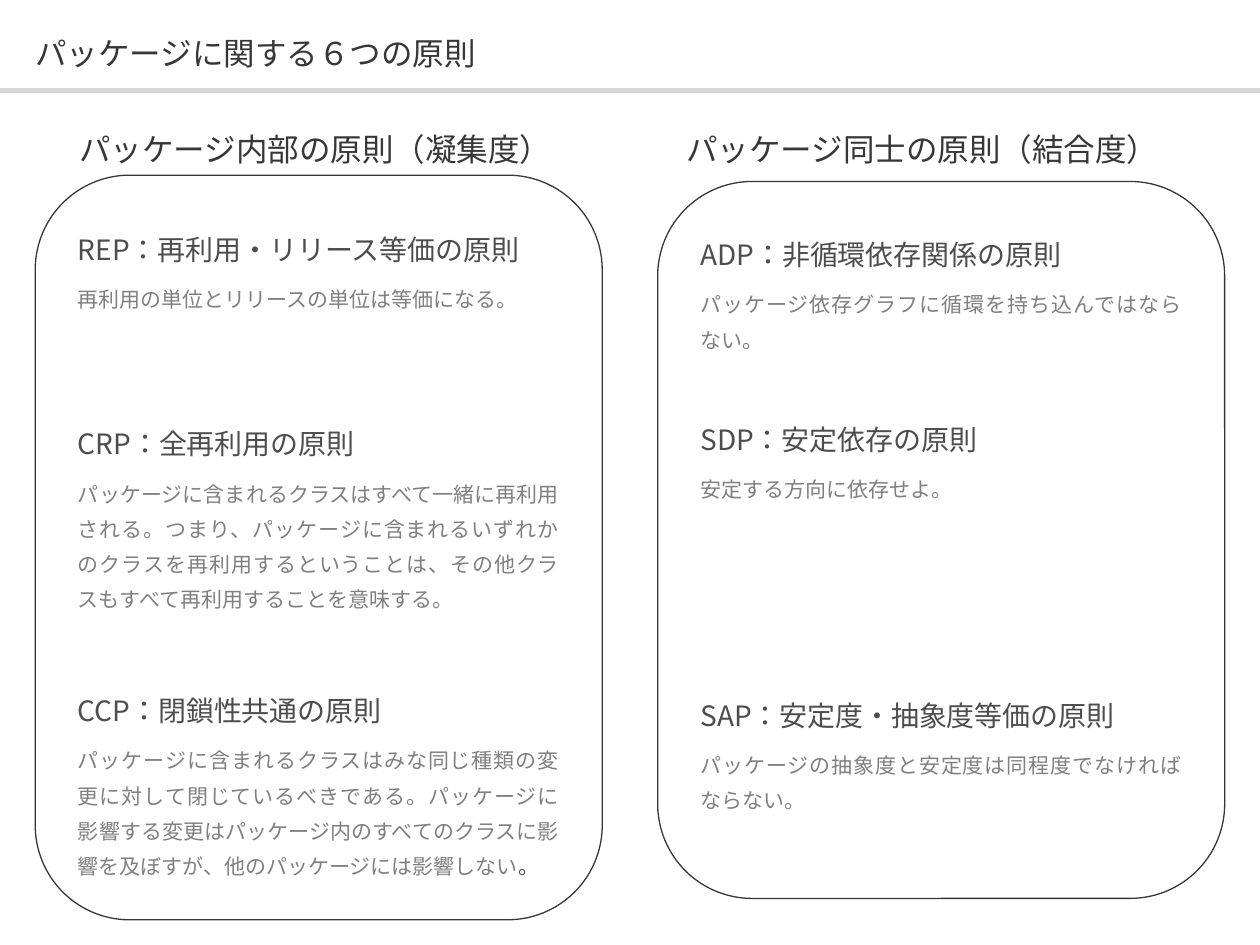
from typing import NamedTuple

from lxml.etree import SubElement
from pptx import Presentation
from pptx.dml.color import RGBColor
from pptx.enum.lang import MSO_LANGUAGE_ID
from pptx.enum.shapes import MSO_SHAPE
from pptx.enum.text import MSO_ANCHOR, MSO_AUTO_SIZE, PP_ALIGN
from pptx.oxml.ns import qn
from pptx.util import Inches, Pt

FONT = "Noto Sans CJK JP"
COLORS = {
    "dark": "373737",
    "heading": "4D4D4D",
    "body": "7F7F7F",
    "rule": "D8D8D8",
    "panel": "FFFFFF",
}
PANEL_WIDTH = 4.5


class Box(NamedTuple):
    left: float
    top: float
    width: float
    height: float

    def emu(self) -> list:
        return [Inches(v) for v in self]


class Principle(NamedTuple):
    heading: str
    body: str
    gap: float = 0  # points above the heading
    ending: str = ""  # closing mark in the heading colour


class Panel(NamedTuple):
    label: str
    label_box: Box
    box: Box
    bottom_inset: float
    principles: list


PANELS = [
    Panel(
        "パッケージ内部の原則（凝集度）",
        Box(0.53, 0.98, 3.99, 0.4),
        Box(0.28, 1.39, PANEL_WIDTH, 5.91),
        0.1,
        [
            Principle("REP：再利用・リリース等価の原則",
                      "再利用の単位とリリースの単位は等価になる。"),
            Principle("CRP：全再利用の原則",
                      "パッケージに含まれるクラスはすべて一緒に再利用される。"
                      "つまり、パッケージに含まれるいずれかのクラスを再利用すると"
                      "いうことは、その他クラスもすべて再利用することを意味する。",
                      58.4),
            Principle("CCP：閉鎖性共通の原則",
                      "パッケージに含まれるクラスはみな同じ種類の変更に対して"
                      "閉じているべきである。パッケージに影響する変更はパッケージ内の"
                      "すべてのクラスに影響を及ぼすが、他のパッケージには影響しない",
                      38.9, "。"),
        ],
    ),
    Panel(
        "パッケージ同士の原則（結合度）",
        Box(5.35, 0.98, 4.24, 0.4),
        Box(5.22, 1.44, PANEL_WIDTH, 5.69),
        0.46,
        [
            Principle("ADP：非循環依存関係の原則",
                      "パッケージ依存グラフに循環を持ち込んではならない。"),
            Principle("SDP：安定依存の原則", "安定する方向に依存せよ。", 32.2),
            Principle("SAP：安定度・抽象度等価の原則",
                      "パッケージの抽象度と安定度は同程度でなければならない。",
                      104.7),
        ],
    ),
]


def rgb(name: str) -> RGBColor:
    return RGBColor.from_string(COLORS[name])


def set_attrs(obj, formats: dict) -> None:
    for name, value in formats.items():
        setattr(obj, name, value)


def set_frame(tf, insets: tuple, anchor) -> None:
    sides = ("margin_left", "margin_top", "margin_right", "margin_bottom")
    set_attrs(tf, dict(zip(sides, map(Inches, insets))))
    set_attrs(tf, {"word_wrap": True, "auto_size": MSO_AUTO_SIZE.NONE,
                   "vertical_anchor": anchor})


def add_run(p, text: str, size: float, color: str) -> None:
    r = p.add_run()
    r.text = text
    set_attrs(r.font, {"size": Pt(size), "name": FONT,
                       "language_id": MSO_LANGUAGE_ID.JAPANESE})
    r.font.color.rgb = rgb(color)
    SubElement(r.font._element, qn("a:ea"), typeface=FONT)


def add_block(s, kind, box: Box, fill: str):
    sp = s.shapes.add_shape(kind, *box.emu())
    sp.shadow.inherit = False
    sp.fill.solid()
    sp.fill.fore_color.rgb = rgb(fill)
    sp.line.fill.background()
    return sp


def add_panel(s, panel: Panel) -> None:
    sp = add_block(s, MSO_SHAPE.ROUNDED_RECTANGLE, panel.box, "panel")
    sp.line.color.rgb = rgb("dark")
    sp.line.width = Pt(0.75)
    tf = sp.text_frame
    set_frame(tf, (0.12, 0.12, 0.12, panel.bottom_inset), MSO_ANCHOR.MIDDLE)
    for i, item in enumerate(panel.principles):
        heading = tf.add_paragraph() if i else tf.paragraphs[0]
        body = tf.add_paragraph()
        for p, gap in ((heading, item.gap), (body, 6)):
            set_attrs(p, {"alignment": PP_ALIGN.JUSTIFY, "line_spacing": 1.4,
                          "space_before": Pt(gap)})
        add_run(heading, item.heading, 16, "heading")
        add_run(body, item.body, 12, "body")
        if item.ending:
            add_run(body, item.ending, 12, "heading")


def add_label(s, panel: Panel) -> None:
    tf = s.shapes.add_textbox(*panel.label_box.emu()).text_frame
    set_frame(tf, (0.1, 0.05, 0.1, 0.05), MSO_ANCHOR.TOP)
    add_run(tf.paragraphs[0], panel.label, 18, "dark")


def add_title(s, text: str, box: Box) -> None:
    title = s.shapes.title
    set_attrs(title, dict(zip(("left", "top", "width", "height"), box.emu())))
    tf = title.text_frame
    set_frame(tf, (0, 0, 0, 0), MSO_ANCHOR.MIDDLE)
    p = tf.paragraphs[0]
    set_attrs(p, {"alignment": PP_ALIGN.LEFT, "line_spacing": 1.1})
    add_run(p, text, 18, "dark")


def main() -> None:
    prs = Presentation()
    set_attrs(prs, {"slide_width": Inches(10), "slide_height": Inches(7.5)})
    s = prs.slides.add_slide(prs.slide_layouts.get_by_name("Title Only"))
    add_title(s, "パッケージに関する６つの原則", Box(0.28, 0.19, 9.45, 0.43))
    add_block(s, MSO_SHAPE.RECTANGLE, Box(0, 0.7, 10, 0.04), "rule")
    for panel in PANELS:
        add_panel(s, panel)
    for panel in PANELS:
        add_label(s, panel)
    prs.save("out.pptx")


if __name__ == "__main__":
    main()
